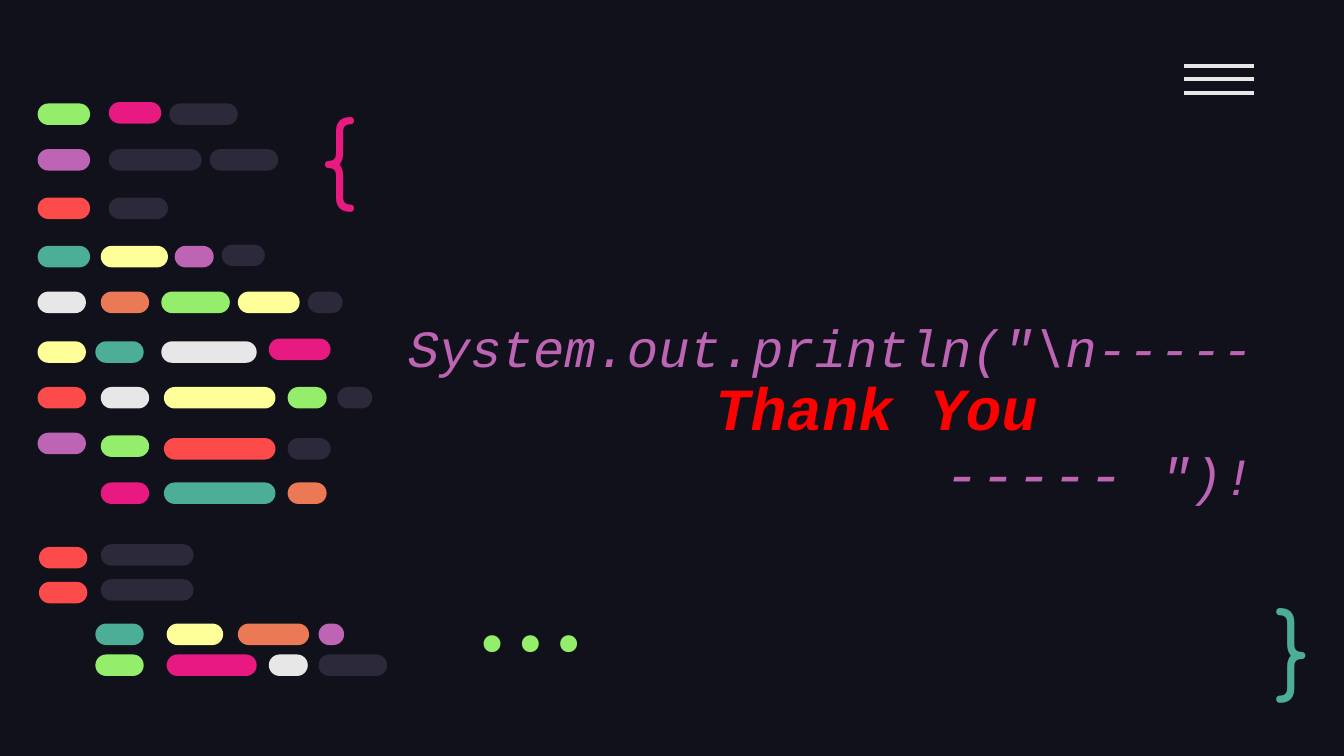
import dataclasses

import pptx
import pptx.dml.color
import pptx.enum.shapes
import pptx.enum.text
import pptx.oxml.ns
import pptx.util
from lxml import etree

COLUMNS = 1000
CELL = pptx.util.Inches(0.01)
CHIP_ROWS = 16
ALIGN = pptx.enum.text.PP_ALIGN
ANCHOR = pptx.enum.text.MSO_ANCHOR


@dataclasses.dataclass(frozen=True)
class Theme:
    background: str = "10111A"
    green: str = "94EE6B"
    pink: str = "E81A81"
    purple: str = "BD64B5"
    coral: str = "FD4A4A"
    teal: str = "4CAE97"
    yellow: str = "FFFF99"
    light: str = "E7E7E7"
    orange: str = "EC7955"
    dark: str = "2C293A"
    red: str = "FF0000"
    code_font: str = "Courier New"
    brace_font: str = "Comfortaa"
    dots_font: str = "Fira Code"
    code_size: int = 28
    thanks_size: int = 32
    symbol_size: int = 50
    menu_width: float = 2.25


THEME = Theme()

CODE_LINES = [
    (77, [(28, 39, "green"), (126, 51, "dark")]),
    (76, [(81, 39, "pink")]),
    (111, [(28, 39, "purple"), (81, 69, "dark"), (156, 51, "dark")]),
    (147, [(28, 39, "coral"), (81, 44, "dark")]),
    (183, [(28, 39, "teal"), (75, 50, "yellow"), (130, 29, "purple")]),
    (182, [(165, 32, "dark")]),
    (217, [(28, 36, "light"), (75, 36, "orange"), (120, 51, "green"),
           (177, 46, "yellow"), (229, 26, "dark")]),
    (254, [(28, 36, "yellow"), (71, 36, "teal"), (120, 71, "light")]),
    (252, [(200, 46, "pink")]),
    (288, [(28, 36, "coral"), (75, 36, "light"), (122, 83, "yellow"),
           (214, 29, "green"), (251, 26, "dark")]),
    (322, [(28, 36, "purple")]),
    (324, [(75, 36, "green")]),
    (326, [(122, 83, "coral"), (214, 32, "dark")]),
    (359, [(75, 36, "pink"), (122, 83, "teal"), (214, 29, "orange")]),
    (407, [(29, 36, "coral")]),
    (405, [(75, 69, "dark")]),
    (433, [(29, 36, "coral")]),
    (431, [(75, 69, "dark")]),
    (464, [(71, 36, "teal"), (124, 42, "yellow"), (177, 53, "orange"),
           (237, 19, "purple")]),
    (487, [(71, 36, "green"), (124, 67, "pink"), (200, 29, "light"),
           (237, 51, "dark")]),
]


def cells(*counts):
    return [count * CELL for count in counts]


def color(name):
    return pptx.dml.color.RGBColor.from_string(getattr(THEME, name))


def add_text_box(slide, box, anchor):
    frame = slide.shapes.add_textbox(*cells(*box)).text_frame
    frame.word_wrap = True
    frame.vertical_anchor = anchor
    frame.margin_left = frame.margin_right = 10 * CELL
    frame.margin_top = frame.margin_bottom = 10 * CELL
    return frame


def add_run(paragraph, text, font_name, size, color_name, bold=False, italic=False):
    run = paragraph.add_run()
    run.text = text
    run.font.name = font_name
    run.font.size = pptx.util.Pt(size)
    run.font.bold = bold
    run.font.italic = italic
    run.font.color.rgb = color(color_name)


def add_symbol(slide, text, box, font_name, color_name, anchor, align=ALIGN.LEFT):
    paragraph = add_text_box(slide, box, anchor).paragraphs[0]
    paragraph.alignment = align
    add_run(paragraph, text, font_name, THEME.symbol_size, color_name)


def add_title(slide):
    frame = add_text_box(slide, (284, 199, 668, 189), ANCHOR.BOTTOM)
    lines = [
        (0, [("System.out.println(\"\\n-----", THEME.code_size, "purple", False)]),
        (68, [("Thank You", THEME.thanks_size, "red", True)]),
        (400, [("----- ", THEME.thanks_size, "purple", False),
               ("\")!", THEME.code_size, "purple", False)]),
    ]
    for index, (indent, runs) in enumerate(lines):
        paragraph = frame.add_paragraph() if index else frame.paragraphs[0]
        paragraph.alignment = ALIGN.CENTER
        paragraph.line_spacing = 0.9
        properties = paragraph._p.get_or_add_pPr()
        properties.set("marL", str(indent * CELL))
        properties.set("indent", "0")
        for text, size, color_name, bold in runs:
            add_run(paragraph, text, THEME.code_font, size, color_name, bold, True)


def add_menu_icon(slide):
    group = slide.shapes.add_group_shape()
    for index in range(3):
        row = 49 + 10 * index
        line = group.shapes.add_connector(
            pptx.enum.shapes.MSO_CONNECTOR.STRAIGHT, *cells(881, row, 933, row))
        line.line.color.rgb = color("light")
        line.line.width = pptx.util.Pt(THEME.menu_width)
        etree.SubElement(line._element.spPr, pptx.oxml.ns.qn("a:effectLst"))


def add_chip(group, left, top, width, color_name):
    chip = group.shapes.add_shape(
        pptx.enum.shapes.MSO_SHAPE.ROUNDED_RECTANGLE,
        *cells(left, top, width, CHIP_ROWS))
    chip.adjustments[0] = 0.5
    chip.shadow.inherit = False
    chip.fill.solid()
    chip.fill.fore_color.rgb = color(color_name)
    chip.line.fill.background()


def add_code_chips(slide):
    group = slide.shapes.add_group_shape()
    for top, chips in CODE_LINES:
        for left, width, color_name in chips:
            add_chip(group, left, top, width, color_name)


def main():
    presentation = pptx.Presentation()
    presentation.slide_width = COLUMNS * CELL
    presentation.slide_height = presentation.slide_width * 9 // 16
    slide = presentation.slides.add_slide(presentation.slide_layouts[6])
    slide.background.fill.solid()
    slide.background.fill.fore_color.rgb = color("background")
    add_title(slide)
    add_symbol(slide, "{", (229, 62, 77, 95), THEME.brace_font, "pink", ANCHOR.TOP)
    add_symbol(slide, "}", (939, 438, 57, 83), THEME.brace_font, "teal", ANCHOR.MIDDLE)
    add_symbol(slide, "...", (311, 449, 158, 60), THEME.dots_font, "green",
               ANCHOR.BOTTOM, ALIGN.RIGHT)
    add_menu_icon(slide)
    add_code_chips(slide)
    presentation.save("out.pptx")


if __name__ == "__main__":
    main()
